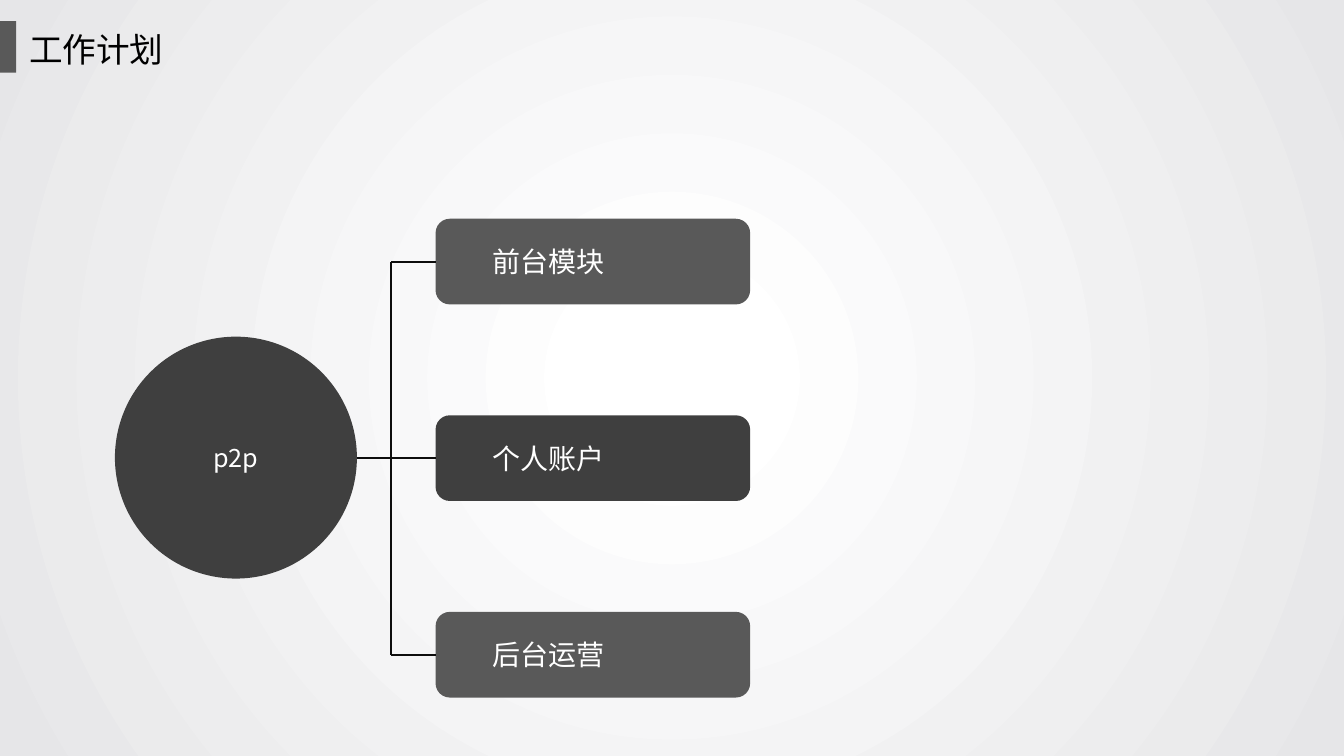
from dataclasses import dataclass

from lxml import etree
from pptx import Presentation
from pptx.dml.color import RGBColor
from pptx.enum import shapes, text
from pptx.oxml import parse_xml
from pptx.oxml import ns
from pptx.util import Inches, Pt


@dataclass(frozen=True)
class Theme:
    font: str = "Noto Sans CJK SC"
    dark: str = "3F3F3F"
    grey: str = "595959"
    line: str = "0D0D0D"
    title: str = "000000"
    label: str = "FFFFFF"
    glow: str = "FFFFFF"
    edge: str = "E6E6E8"
    title_size: int = 24
    module_size: int = 20
    hub_size: int = 18
    line_width: float = 1.5


THEME = Theme()
MODULES = [("前台模块", THEME.grey), ("个人账户", THEME.dark), ("后台运营", THEME.grey)]
MODULE_LEFT, MODULE_TOP, MODULE_STEP = 4.32, 2.17, 1.95
MODULE_WIDTH, MODULE_HEIGHT = 3.12, 0.85
HUB_LEFT, HUB_TOP, HUB_SIZE = 1.14, 3.34, 2.4
TRUNK_X = 3.88


def paint_background(page):
    """Fill the page with a radial gradient, lightest at the centre."""
    fill = page.background.fill
    fill.gradient()
    stops = [(0.09, THEME.glow), (1, THEME.edge)]
    for stop, (position, color) in zip(fill.gradient_stops, stops):
        stop.position = position
        stop.color.rgb = RGBColor.from_string(color)
    gradient = page.element.find(".//" + ns.qn("a:gradFill"))
    radial = parse_xml(
        f'<a:path {ns.nsdecls("a")} path="circle">'
        '<a:fillToRect l="50000" t="50000" r="50000" b="50000"/></a:path>'
    )
    gradient.replace(gradient.find(ns.qn("a:lin")), radial)


def write(frame, words, size, color, align=text.PP_ALIGN.LEFT):
    para = frame.paragraphs[0]
    para.alignment = align
    span = para.add_run()
    span.text = words
    span.font.size = Pt(size)
    span.font.name = THEME.font
    span.font.color.rgb = RGBColor.from_string(color)
    east_asian = etree.SubElement(span.font._element, ns.qn("a:ea"))
    east_asian.set("typeface", THEME.font)


def add_block(page, kind, left, top, width, height, color):
    block = page.shapes.add_shape(
        kind, Inches(left), Inches(top), Inches(width), Inches(height)
    )
    block.shadow.inherit = False
    block.fill.solid()
    block.fill.fore_color.rgb = RGBColor.from_string(color)
    block.line.fill.background()
    block.text_frame.vertical_anchor = text.MSO_ANCHOR.MIDDLE
    return block


def add_title(page, words):
    box = page.shapes.add_textbox(
        Inches(0.19), Inches(0.24), Inches(2.89), Inches(0.5)
    )
    box.text_frame.word_wrap = True
    write(box.text_frame, words, THEME.title_size, THEME.title)
    add_block(page, shapes.MSO_SHAPE.RECTANGLE, 0, 0.21, 0.16, 0.51, THEME.grey)


def add_hub(page, words):
    hub = add_block(
        page, shapes.MSO_SHAPE.OVAL, HUB_LEFT, HUB_TOP, HUB_SIZE, HUB_SIZE, THEME.dark
    )
    write(hub.text_frame, words, THEME.hub_size, THEME.label, text.PP_ALIGN.CENTER)


def add_module(page, row, words, color):
    module = add_block(
        page, shapes.MSO_SHAPE.ROUNDED_RECTANGLE,
        MODULE_LEFT, MODULE_TOP + row * MODULE_STEP,
        MODULE_WIDTH, MODULE_HEIGHT, color,
    )
    module.text_frame.margin_left = Inches(0.52)
    write(module.text_frame, words, THEME.module_size, THEME.label)
    return module


def add_line(page, start, end):
    line = page.shapes.add_connector(shapes.MSO_CONNECTOR.STRAIGHT, *start, *end)
    line.line.color.rgb = RGBColor.from_string(THEME.line)
    line.line.width = Pt(THEME.line_width)
    etree.SubElement(line._element.spPr, ns.qn("a:effectLst"))
    return line


def add_tree_lines(page, modules):
    """Join the hub to its modules through one vertical trunk."""
    trunk = Inches(TRUNK_X)
    heights = [module.top + module.height // 2 for module in modules]
    add_line(page, (trunk, heights[0]), (trunk, heights[-1]))
    middle = len(modules) // 2
    for row, (module, height) in enumerate(zip(modules, heights)):
        start = Inches(HUB_LEFT + HUB_SIZE) if row == middle else trunk
        branch = add_line(page, (start, height), (module.left, height))
        branch.end_connect(module, 1)


def main():
    deck = Presentation()
    deck.slide_width, deck.slide_height = Inches(13.33), Inches(7.5)
    page = deck.slides.add_slide(deck.slide_layouts[6])
    paint_background(page)
    add_hub(page, "p2p")
    modules = [
        add_module(page, row, words, color)
        for row, (words, color) in enumerate(MODULES)
    ]
    add_tree_lines(page, modules)
    add_title(page, "工作计划")
    deck.save("out.pptx")


if __name__ == "__main__":
    main()
